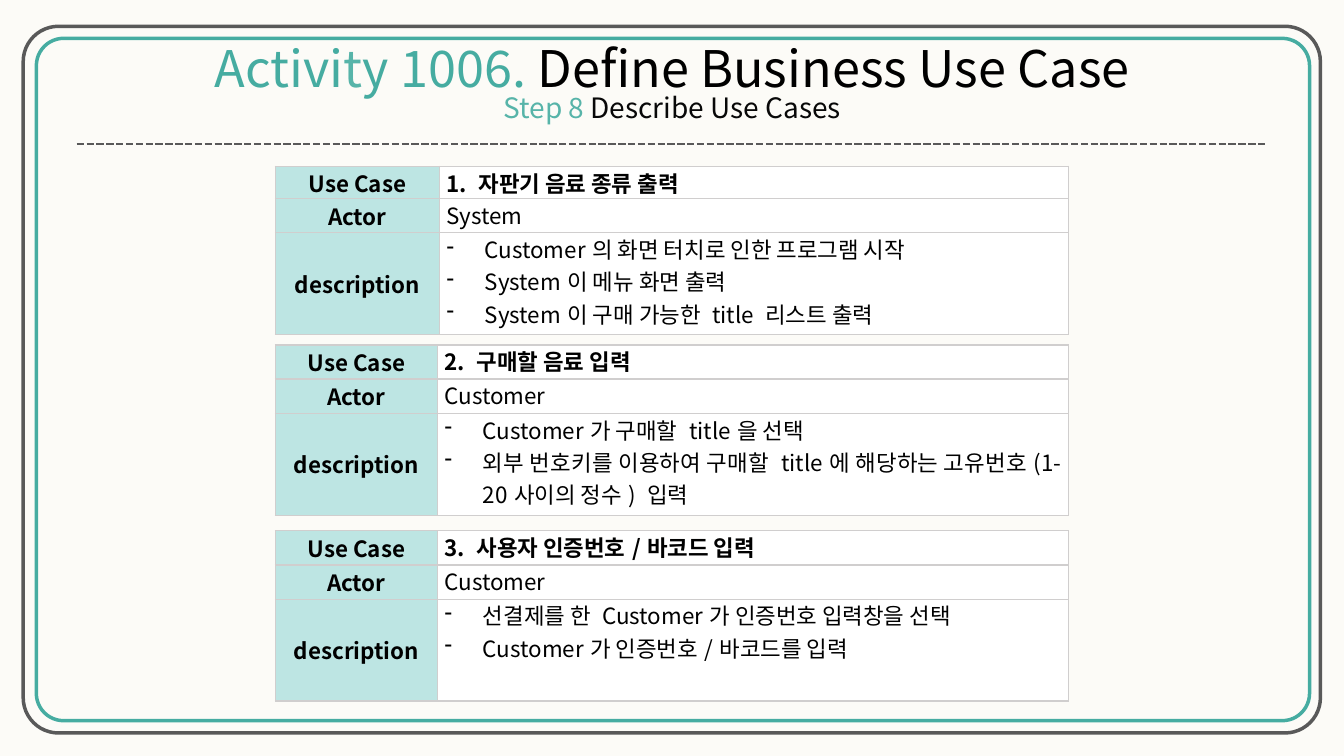
from lxml.etree import SubElement
from pptx import Presentation
from pptx.dml.color import RGBColor
from pptx.enum.dml import MSO_LINE
from pptx.enum.shapes import MSO_CONNECTOR as CONN, MSO_SHAPE as SHAPE
from pptx.enum.text import MSO_ANCHOR as ANCHOR, MSO_AUTO_SIZE as FIT, PP_ALIGN as ALIGN
from pptx.oxml import parse_xml
from pptx.oxml.ns import nsdecls, qn
from pptx.util import Inches, Pt

PAPER = RGBColor(0xFC, 0xFB, 0xF7)
TEAL = RGBColor(0x46, 0xAC, 0xA1)
LIGHT_TEAL = RGBColor(0x57, 0xB4, 0xA9)
GRAY = RGBColor(0x59, 0x59, 0x59)
MINT = RGBColor(0xBD, 0xE5, 0xE3)
SILVER = RGBColor(0xD0, 0xCE, 0xCE)
WHITE = RGBColor(0xFF, 0xFF, 0xFF)
BLACK = RGBColor(0x00, 0x00, 0x00)
INK = RGBColor(0x08, 0x08, 0x08)


class UseCaseSlide:
    FONT = "Noto Sans CJK KR"
    COLS, ROWS = 48, 27
    LABELS = ("Use Case", "Actor", "description")

    def __init__(self, prs):
        self.cell_w = prs.slide_width / self.COLS
        self.cell_h = prs.slide_height / self.ROWS
        self.slide = prs.slides.add_slide(prs.slide_layouts[5])
        self.shapes = self.slide.shapes
        bg = self.slide.background.fill
        bg.solid()
        bg.fore_color.rgb = PAPER

    def x(self, cols):
        return round(cols * self.cell_w)

    def y(self, rows):
        return round(rows * self.cell_h)

    def box(self, left, top, width, height):
        return self.x(left), self.y(top), self.x(width), self.y(height)

    def style(self, r, size, color, bold=False):
        r.font.name, r.font.size, r.font.bold = self.FONT, Pt(size), bold
        r.font.color.rgb = color
        SubElement(r.font._element, qn("a:ea")).set("typeface", self.FONT)

    def frame(self, area, radius, color):
        sp = self.shapes.add_shape(SHAPE.ROUNDED_RECTANGLE, *self.box(*area))
        sp.adjustments[0] = radius
        sp.shadow.inherit = False
        sp.fill.background()
        sp.line.color.rgb = color
        sp.line.width = Pt(2.5)

    def title(self, area, lines):
        sp = self.shapes.title
        sp.left, sp.top, sp.width, sp.height = self.box(*area)
        tf = sp.text_frame
        tf.word_wrap = False
        tf.auto_size = FIT.NONE
        tf.vertical_anchor = ANCHOR.TOP
        tf.text = "\n".join("" for _ in lines)
        for p, (size, spacing, runs) in zip(tf.paragraphs, lines):
            p.alignment = ALIGN.CENTER
            p.line_spacing = spacing
            for text, color in runs:
                r = p.add_run()
                r.text = text
                self.style(r, size, color)

    def rule(self, left, right, top):
        cx = self.shapes.add_connector(
            CONN.STRAIGHT, self.x(left), self.y(top), self.x(right), self.y(top))
        cx.line.color.rgb = GRAY
        cx.line.width = Pt(1.75)
        cx.line.dash_style = MSO_LINE.SQUARE_DOT
        SubElement(cx._element.spPr, qn("a:effectLst"))

    def borders(self, cell):
        tcPr = cell._tc.get_or_add_tcPr()
        for i, side in enumerate("LRTB"):
            tcPr.insert(i, parse_xml(
                f'<a:ln{side} {nsdecls("a")} w="{Pt(1)}"><a:solidFill>'
                f'<a:srgbClr val="{SILVER}"/></a:solidFill></a:ln{side}>'))

    def bullet(self, p):
        pPr = p._p.get_or_add_pPr()
        pPr.set("marL", str(Inches(0.38)))
        pPr.set("indent", str(-Inches(0.38)))
        SubElement(pPr, qn("a:buChar")).set("char", "-")

    def cell(self, cell, text, fill, align, bold=False, bullets=False):
        cell.margin_left = cell.margin_right = Inches(0.07)
        cell.margin_top = cell.margin_bottom = 0
        cell.fill.solid()
        cell.fill.fore_color.rgb = fill
        self.borders(cell)
        cell.text_frame.text = text
        for p in cell.text_frame.paragraphs:
            p.alignment = align
            if bullets:
                self.bullet(p)
            for r in p.runs:
                self.style(r, 16, BLACK, bold)

    def use_case(self, top, label_w, heights, align, texts):
        left, width = 9.83, 28.33
        table = self.shapes.add_table(
            3, 2, *self.box(left, top, width, sum(heights))).table
        table.first_row = table.horz_banding = False
        for col, w in zip(table.columns, (label_w, width - label_w)):
            col.width = self.x(w)
        for i, (label, text, height) in enumerate(zip(self.LABELS, texts, heights)):
            table.rows[i].height = self.y(height)
            head, body = table.cell(i, 0), table.cell(i, 1)
            self.cell(head, label, MINT, ALIGN.CENTER, bold=True)
            head.vertical_anchor = ANCHOR.MIDDLE
            self.cell(body, text, WHITE, align, bold=i == 0, bullets=i == 2)


USE_CASES = [
    (5.87, (0.96, 1.22, 3.64), ALIGN.LEFT, (
        "1. 자판기 음료 종류 출력",
        "System",
        "Customer의 화면 터치로 인한 프로그램 시작\n"
        "System이 메뉴 화면 출력\n"
        "System이 구매 가능한 title 리스트 출력")),
    (5.8, (1.22, 1.22, 3.64), ALIGN.JUSTIFY, (
        "2. 구매할 음료 입력",
        "Customer",
        "Customer가 구매할 title을 선택\n"
        "외부 번호키를 이용하여 구매할 title에 해당하는 고유번호(1-20사이의 정수) 입력")),
    (5.8, (1.22, 1.22, 3.64), ALIGN.JUSTIFY, (
        "3. 사용자 인증번호/바코드 입력",
        "Customer",
        "선결제를 한 Customer가 인증번호 입력창을 선택\n"
        "Customer가 인증번호/바코드를 입력")),
]

prs = Presentation()
prs.slide_width, prs.slide_height = Inches(13.33), Inches(7.5)
page = UseCaseSlide(prs)
page.frame((1.3, 1.37, 45.47, 24.37), 0.04, TEAL)
page.frame((0.83, 0.94, 46.33, 25.24), 0.05, GRAY)
page.title((7.27, 1.4, 33.48, 3.74), [
    (36, 0.9, [("Activi", TEAL), ("t", LIGHT_TEAL), ("y 1006. ", TEAL),
               ("Define Business Use Case", BLACK)]),
    (20, 0.75, [("Step 8 ", LIGHT_TEAL), ("Describe Use Cases", INK)]),
])
page.rule(2.74, 45.25, 5.15)

top, gap = 5.94, 0.56
for label_w, heights, align, texts in USE_CASES:
    page.use_case(top, label_w, heights, align, texts)
    top += sum(heights) + gap

prs.save("out.pptx")
